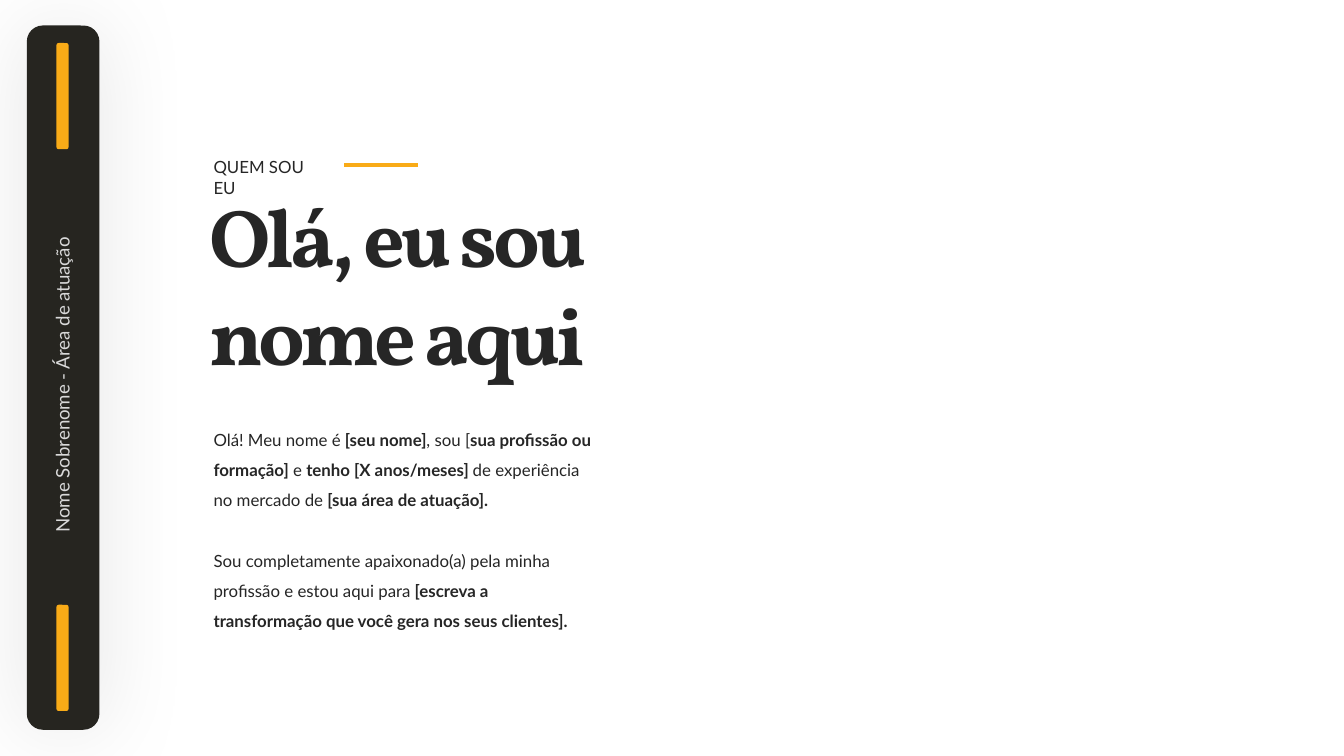
from lxml import etree
from pptx import Presentation
from pptx.dml.color import RGBColor
from pptx.enum.shapes import MSO_CONNECTOR, MSO_SHAPE
from pptx.enum.text import MSO_AUTO_SIZE
from pptx.oxml import parse_xml
from pptx.oxml.ns import qn
from pptx.util import Inches, Pt

ROUND = MSO_SHAPE.ROUNDED_RECTANGLE
STRAIGHT = MSO_CONNECTOR.STRAIGHT
GROW = MSO_AUTO_SIZE.SHAPE_TO_FIT_TEXT

INK, AMBER, DARK, PALE = "262626", "F9AB17", "262520", "D9D9D9"
GLOW = (
    '<a:effectLst xmlns:a="http://schemas.openxmlformats.org/drawingml/2006/main">'
    '<a:outerShdw blurRad="635000" dist="0" dir="0" algn="ctr" rotWithShape="0">'
    '<a:srgbClr val="000000"><a:alpha val="10000"/></a:srgbClr>'
    '</a:outerShdw></a:effectLst>'
)


def color(code):
    return RGBColor.from_string(code)


class Page:
    def __init__(self, slide, font="Lato", ink=INK):
        self.slide, self.font, self.ink = slide, font, ink

    def text(self, box, paras, size, font=None, ink=None, track=0, turn=0, **style):
        """Add paragraphs, each a list of (words, bold) runs."""
        shape = self.slide.shapes.add_textbox(*map(Inches, box))
        shape.rotation = turn
        frame = shape.text_frame
        frame.word_wrap = True
        frame.auto_size = GROW
        for i, runs in enumerate(paras):
            para = frame.add_paragraph() if i else frame.paragraphs[0]
            if "line" in style:
                para.line_spacing = style["line"]
            if i:
                para.space_before = Pt(style["gap"])
            for words, bold in runs:
                run = para.add_run()
                run.text = words
                look = {"name": font or self.font, "size": Pt(size), "bold": bold}
                for key, value in look.items():
                    setattr(run.font, key, value)
                run.font.color.rgb = color(ink or self.ink)
                if track:
                    run._r.get_or_add_rPr().set("spc", str(round(track * 100)))

    def bar(self, box, fill, curve, glow=False):
        shape = self.slide.shapes.add_shape(ROUND, *map(Inches, box))
        shape.adjustments[0] = curve
        shape.fill.solid()
        shape.fill.fore_color.rgb = color(fill)
        shape.line.fill.background()
        if glow:
            shape._element.spPr.append(parse_xml(GLOW))
        else:
            shape.shadow.inherit = False

    def rule(self, start, end, ink, width):
        line = self.slide.shapes.add_connector(STRAIGHT, *map(Inches, start + end))
        line.line.color.rgb = color(ink)
        line.line.width = Pt(width)
        etree.SubElement(line._element.spPr, qn("a:effectLst"))


def main():
    deck = Presentation()
    deck.slide_width = Inches(10)
    deck.slide_height = Inches(10) * 9 // 16
    page = Page(deck.slides.add_slide(deck.slide_layouts[6]))

    page.text((1.46, 1.33, 3.91, 1.58), [[("Olá, eu sou nome aqui", True)]],
              44, font="Vollkorn", track=-2.2)
    page.text((1.49, 1.12, 1.01, 0.25), [[("QUEM SOU EU", False)]], 9)
    page.rule((2.56, 1.23), (3.11, 1.23), AMBER, 2)

    about = [
        [("Olá! Meu nome é ", False), ("[seu nome]", True), (", sou [", False),
         ("sua profissão ou formação]", True), (" e ", False),
         ("tenho [X anos/meses] ", True), ("de experiência no mercado de ", False),
         ("[sua área de atuação].", True)],
        [("Sou completamente apaixonado(a) pela minha profissão e estou aqui para ", False),
         ("[escreva a transformação que você gera nos seus clientes].", True)],
    ]
    page.text((1.49, 3.07, 3.05, 1.67), about, 9, line=1.5, gap=16.2)

    page.bar((0.2, 0.19, 0.54, 5.24), DARK, 0.22, glow=True)
    for top in (0.32, 4.5):
        page.bar((0.42, top, 0.09, 0.79), AMBER, 0.19)
    page.text((-0.78, 2.68, 2.49, 0.27), [[("Nome Sobrenome - Área de atuação", False)]],
              10, ink=PALE, turn=270)

    deck.save("out.pptx")


if __name__ == "__main__":
    main()
